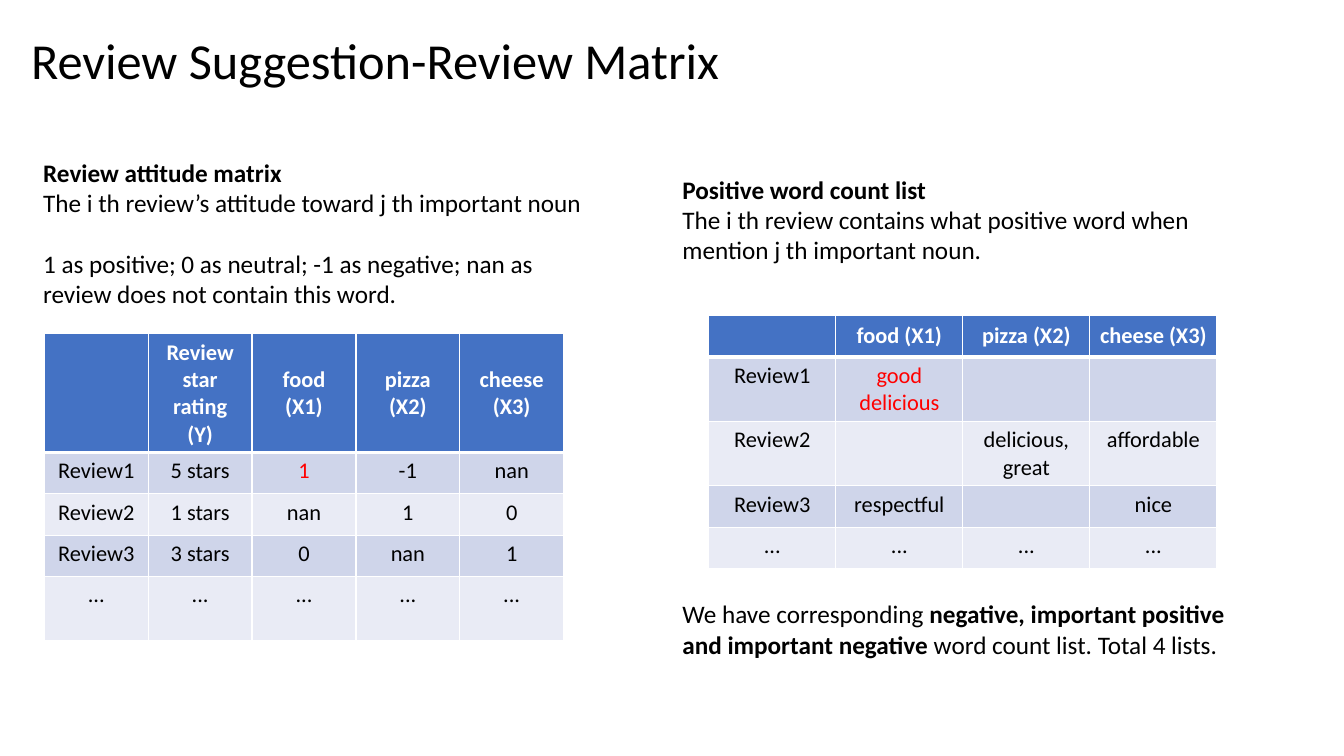
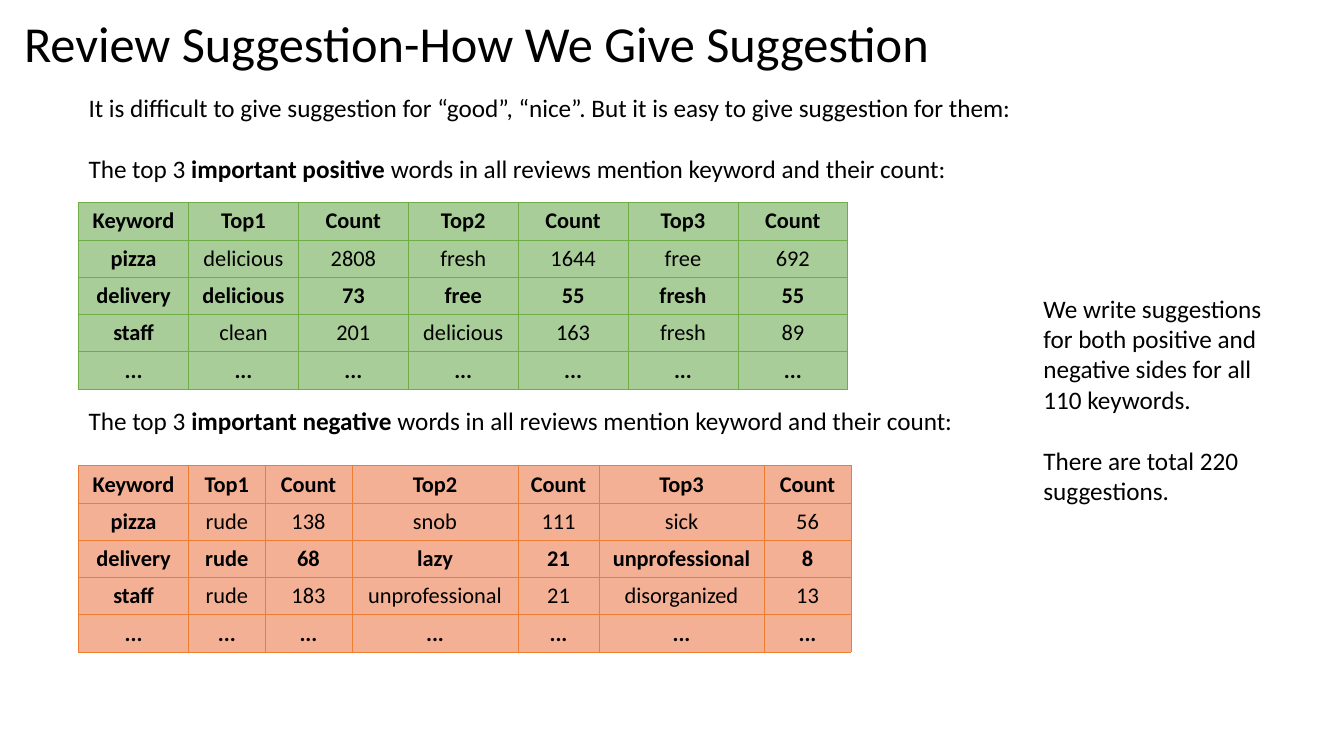
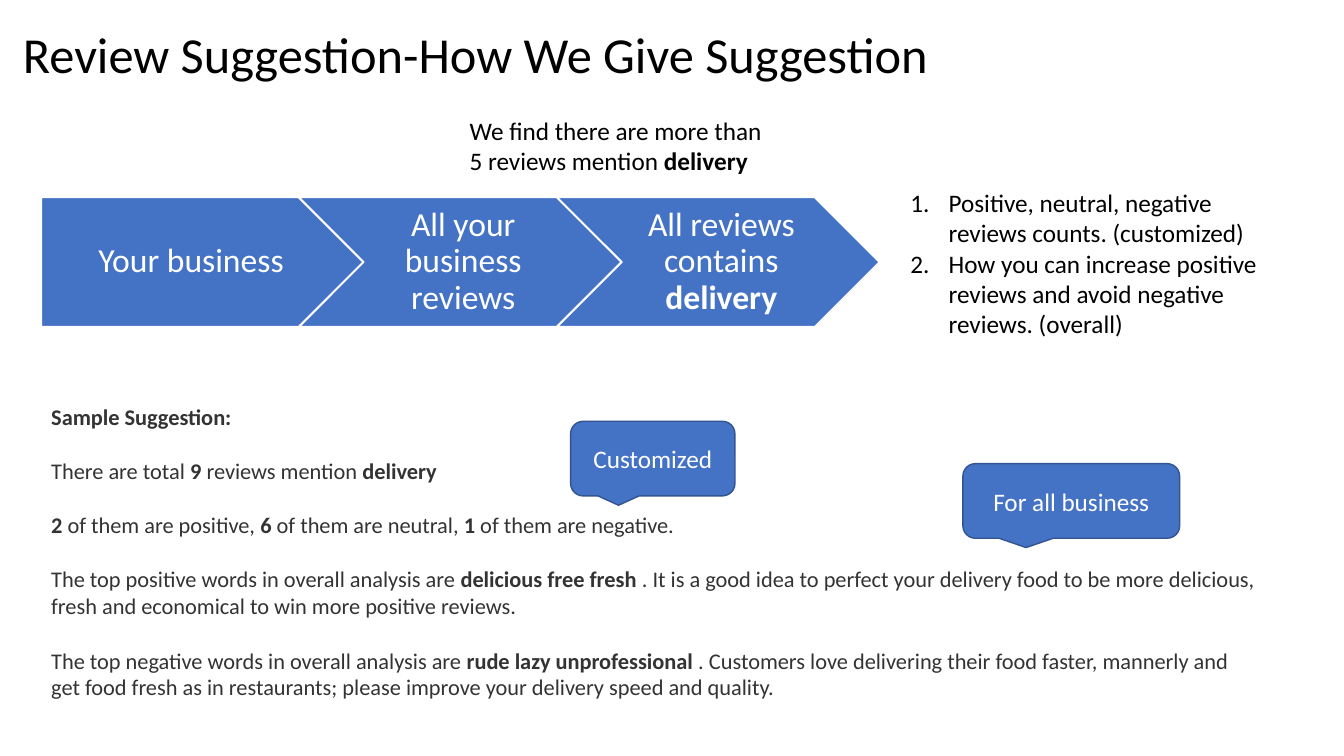
from lxml import etree
from pptx import Presentation
from pptx.dml.color import RGBColor
from pptx.enum.shapes import MSO_SHAPE as Shape
from pptx.enum.text import MSO_ANCHOR as Anchor, PP_ALIGN as Align
from pptx.oxml.ns import qn
from pptx.util import Inches, Pt

FONT = "Calibri"
BLACK, WHITE, RED, GREY = "000000", "FFFFFF", "FF0000", "333333"
BLUE, DARK_BLUE, BAND, LIGHT_BAND = "4472C4", "325491", "CFD5EA", "E9EBF5"
GREEN, LIGHT_GREEN = "70AD47", "A9CD99"
ORANGE, LIGHT_ORANGE = "ED7D31", "F4B095"
BLANK_LINE = 22  # points, one line of 18 pt text


def write_text(frame, paragraphs, size=18, color=BLACK, align=Align.LEFT, gap=0):
    """Fill a text frame; parts between ** marks are bold."""
    frame.word_wrap = True
    for index, text in enumerate(paragraphs):
        para = frame.add_paragraph() if index else frame.paragraphs[0]
        para.alignment = align
        if index and gap:
            para.space_before = Pt(gap)
        for part, words in enumerate(text.split("**")):
            if words:
                span = para.add_run()
                span.text = words
                span.font.name, span.font.size = FONT, Pt(size)
                span.font.bold = part % 2 == 1
                span.font.color.rgb = RGBColor.from_string(color)


def add_table(slide, left, top, widths, heights, rows, fills, border,
              header_color=BLACK, line=0.5, header_line=0.5, bold_rows=(0,), bold_keys=False):
    """Add a table with one fill per row and a thicker rule under the header."""
    table = slide.shapes.add_table(
        len(rows), len(widths), Inches(left), Inches(top),
        Inches(sum(widths)), Inches(sum(heights))).table
    for column, width in zip(table.columns, widths):
        column.width = Inches(width)
    for r, values in enumerate(rows):
        table.rows[r].height = Inches(heights[r])
        for c, value in enumerate(values):
            cell = table.cell(r, c)
            cell.vertical_anchor = Anchor.TOP if r else Anchor.MIDDLE
            properties = cell._tc.get_or_add_tcPr()
            for side in ("lnL", "lnR", "lnT", "lnB"):
                at_rule = (r, side) in ((0, "lnB"), (1, "lnT"))
                edge = etree.SubElement(properties, qn(f"a:{side}"),
                                        w=str(Pt(header_line if at_rule else line)))
                solid = etree.SubElement(edge, qn("a:solidFill"))
                etree.SubElement(solid, qn("a:srgbClr"), val=border)
            cell.fill.solid()
            cell.fill.fore_color.rgb = RGBColor.from_string(fills[r])
            if value:
                bold = r in bold_rows or (bold_keys and c == 0)
                write_text(cell.text_frame, [f"**{value}**" if bold else value], 16,
                           BLACK if r else header_color, Align.CENTER)
    return table


deck = Presentation()
deck.slide_width, deck.slide_height = Inches(13.33), Inches(7.5)

# Slides and titles
slides = []
for title, left, top in [
    ("Review Suggestion-Review Matrix", 0.21, -0.1),
    ("Review Suggestion-How We Give Suggestion", 0.14, -0.27),
    ("Review Suggestion-How We Give Suggestion", 0.13, -0.16),
]:
    slide = deck.slides.add_slide(deck.slide_layouts[6])
    box = slide.shapes.add_textbox(Inches(left), Inches(top), Inches(11.5), Inches(1.45))
    box.text_frame.vertical_anchor = Anchor.MIDDLE
    write_text(box.text_frame, [title], 36)
    box.text_frame.paragraphs[0].line_spacing = 0.9
    slides.append(slide)
matrix_slide, words_slide, sample_slide = slides

# Plain text on all slides: slide, place, size, colour, gap, paragraphs
frames = []
for slide, place, size, color, gap, paragraphs in [
    (matrix_slide, (0.33, 1.51, 5.74, 1.62), 18, BLACK, 0, [
        "**Review attitude matrix**",
        "The i th review’s attitude toward j th important noun",
        "1 as positive; 0 as neutral; -1 as negative; nan as review does not contain this word."]),
    (matrix_slide, (6.67, 1.68, 5.94, 1.01), 18, BLACK, 0, [
        "**Positive word count list**",
        "The i th review contains what positive word when mention j th important noun."]),
    (matrix_slide, (6.67, 5.89, 5.94, 0.71), 18, BLACK, 0, [
        "We have corresponding **negative, important positive and important negative** "
        "word count list. Total 4 lists."]),
    (words_slide, (0.78, 0.87, 11.33, 1.01), 18, BLACK, BLANK_LINE, [
        "It is difficult to give suggestion for “good”, “nice”. "
        "But it is easy to give suggestion for them:",
        "The top 3 **important positive** words in all reviews mention keyword and their count:"]),
    (words_slide, (0.78, 3.97, 9.25, 0.71), 18, BLACK, 0, [
        "The top 3 **important negative** words in all reviews mention keyword and their count:"]),
    (words_slide, (10.25, 2.86, 2.41, 2.22), 18, BLACK, BLANK_LINE, [
        "We write suggestions for both positive and negative sides for all 110 keywords.",
        "There are total 220 suggestions."]),
    (sample_slide, (4.56, 1.09, 3.2, 0.71), 18, BLACK, 0, [
        "We find there are more than 5 reviews mention **delivery**"]),
    (sample_slide, (0.41, 3.95, 12.17, 3.06), 16, GREY, 19.5, [
        "**Sample Suggestion:**",
        "There are total **9** reviews mention **delivery**",
        "**2** of them are positive, **6** of them are neutral, **1** of them are negative.",
        "The top positive words in overall analysis are **delicious free fresh** . It is a good "
        "idea to perfect your delivery food to be more delicious, fresh and economical to win "
        "more positive reviews.",
        "The top negative words in overall analysis are **rude lazy unprofessional** . Customers "
        "love delivering their food faster, mannerly and get food fresh as in restaurants; "
        "please improve your delivery speed and quality."]),
]:
    box = slide.shapes.add_textbox(*map(Inches, place))
    write_text(box.text_frame, paragraphs, size, color, gap=gap)
    frames.append(box.text_frame)
frames[0].paragraphs[2].space_before = Pt(BLANK_LINE)

# Slide 1: attitude matrix and word count list
banded = dict(fills=[BLUE, BAND, LIGHT_BAND, BAND, LIGHT_BAND], border=WHITE,
              header_color=WHITE, line=1, header_line=3)
attitudes = add_table(
    matrix_slide, 0.44, 3.31, [1.03] * 5, [1.18, 0.41, 0.41, 0.41, 0.64], [
        ["", "Review star rating (Y)", "food (X1)", "pizza (X2)", "cheese (X3)"],
        ["Review1", "5 stars", "1", "-1", "nan"],
        ["Review2", "1 stars", "nan", "1", "0"],
        ["Review3", "3 stars", "0", "nan", "1"],
        ["..."] * 5], **banded)
counts = add_table(
    matrix_slide, 7.03, 3.13, [1.26] * 4, [0.41, 0.64, 0.64, 0.41, 0.41], [
        ["", "food (X1)", "pizza (X2)", "cheese (X3)"],
        ["Review1", "good delicious", "", ""],
        ["Review2", "", "delicious, great", "affordable"],
        ["Review3", "respectful", "", "nice"],
        ["..."] * 4], **banded)
for cell in (attitudes.cell(1, 2), counts.cell(1, 1)):
    cell.text_frame.paragraphs[0].runs[0].font.color.rgb = RGBColor.from_string(RED)

# Slide 2: top positive and negative words
header = ["Keyword", "Top1", "Count", "Top2", "Count", "Top3", "Count"]
for top, widths, fill, border, rows in [
    (2.01, [1.09] * 7, LIGHT_GREEN, GREEN, [
        ["pizza", "delicious", "2808", "fresh", "1644", "free", "692"],
        ["delivery", "delicious", "73", "free", "55", "fresh", "55"],
        ["staff", "clean", "201", "delicious", "163", "fresh", "89"]]),
    (4.62, [1.09, 0.76, 0.86, 1.65, 0.8, 1.64, 0.86], LIGHT_ORANGE, ORANGE, [
        ["pizza", "rude", "138", "snob", "111", "sick", "56"],
        ["delivery", "rude", "68", "lazy", "21", "unprofessional", "8"],
        ["staff", "rude", "183", "unprofessional", "21", "disorganized", "13"]]),
]:
    add_table(words_slide, 0.78, top, widths, [0.37] * 5, [header, *rows, ["..."] * 7],
              [fill] * 5, border, bold_rows=(0, 2, 4), bold_keys=True)

# Slide 3: process arrows and callouts
arrows = ["Your business", "All your business reviews", "All reviews contains **delivery**"]
labels = [
    (Shape.CHEVRON if step else Shape.PENTAGON, (0.41 + 2.56 * step, 1.96, 3.19, 1.28),
     WHITE, 24, text)
    for step, text in enumerate(arrows)
] + [
    (Shape.ROUNDED_RECTANGULAR_CALLOUT, (5.66, 4.18, 1.63, 0.74), DARK_BLUE, 18, "Customized"),
    (Shape.ROUNDED_RECTANGULAR_CALLOUT, (9.55, 4.6, 2.15, 0.74), DARK_BLUE, 18,
     "For all business"),
]
for kind, place, outline, size, text in labels:
    shape = sample_slide.shapes.add_shape(kind, *map(Inches, place))
    shape.shadow.inherit = False
    shape.fill.solid()
    shape.fill.fore_color.rgb = RGBColor.from_string(BLUE)
    shape.line.color.rgb = RGBColor.from_string(outline)
    shape.line.width = Pt(1)
    frame = shape.text_frame
    frame.vertical_anchor = Anchor.MIDDLE
    write_text(frame, [text], size, WHITE, Align.CENTER)
    if kind != Shape.ROUNDED_RECTANGULAR_CALLOUT:
        frame.margin_left = Inches(0.14 if kind == Shape.PENTAGON else 0.1)
        frame.margin_right = Inches(0.04)
        frame.paragraphs[0].line_spacing = 0.9

# Slide 3: numbered outcomes
box = sample_slide.shapes.add_textbox(Inches(8.93), Inches(1.81), Inches(3.99), Inches(1.62))
write_text(box.text_frame, [
    "Positive, neutral, negative reviews counts. (customized)",
    "How you can increase positive reviews and avoid negative reviews. (overall)"])
for para in box.text_frame.paragraphs:
    properties = para._p.get_or_add_pPr()
    properties.set("marL", str(Inches(0.38)))
    properties.set("indent", str(-Inches(0.38)))
    etree.SubElement(properties, qn("a:buFont"), typeface=FONT)
    etree.SubElement(properties, qn("a:buAutoNum"), type="arabicPeriod")

deck.save("out.pptx")
